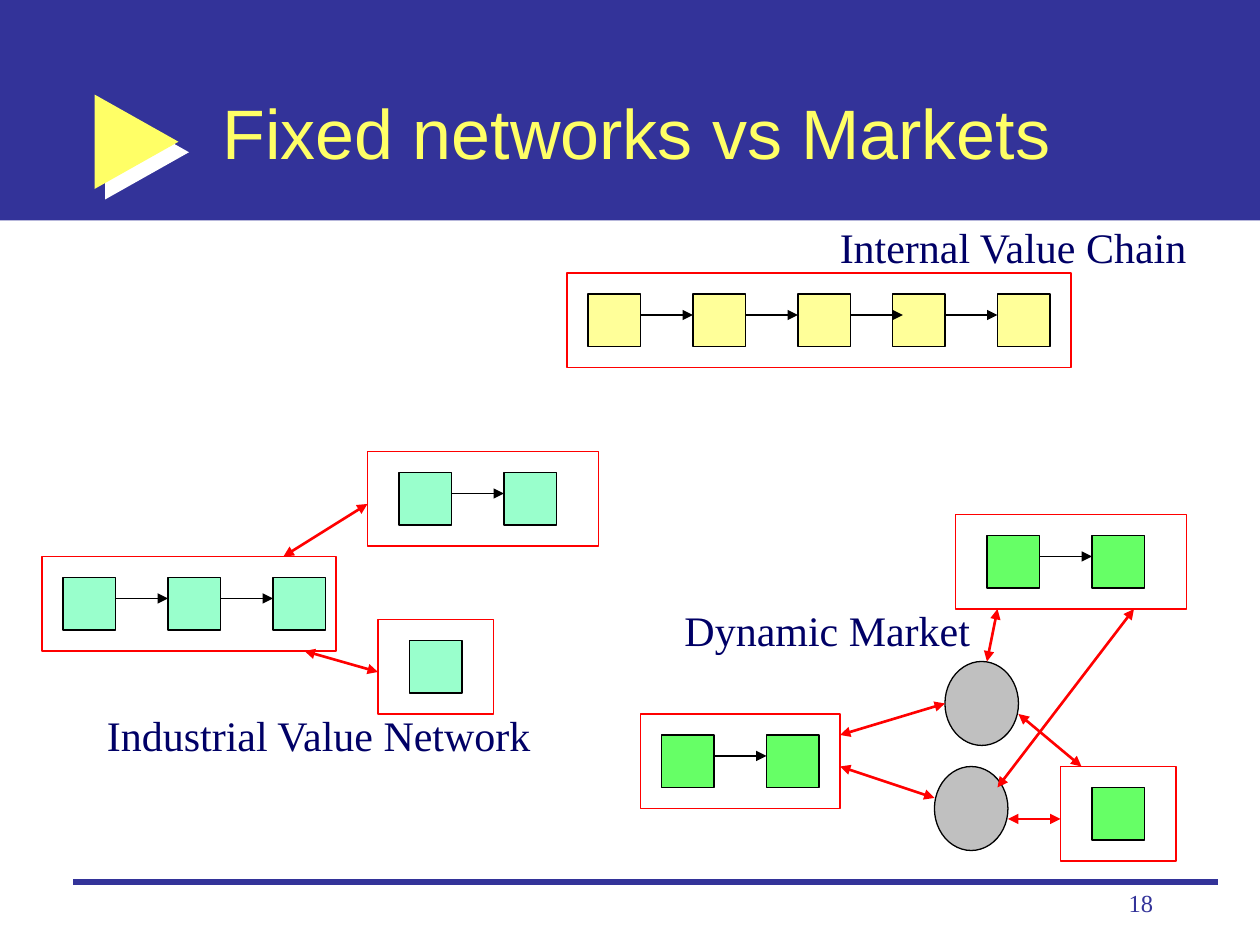
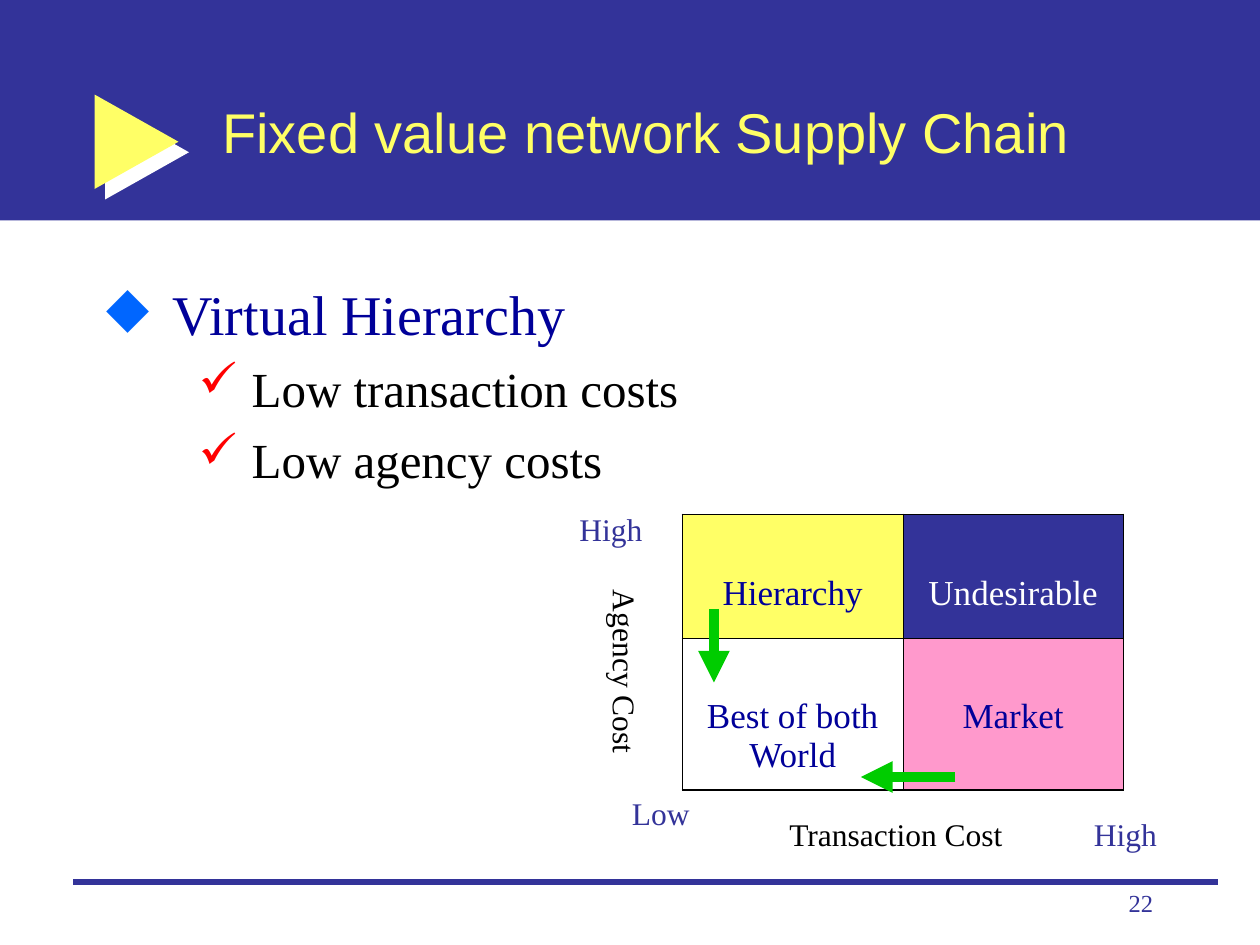
from itertools import product

from lxml import etree
from pptx import Presentation
from pptx import util as u
from pptx.dml.color import RGBColor
from pptx.enum import shapes, text
from pptx.oxml.ns import qn

SERIF, SANS = "Times New Roman", "Arial"
BLUE, YELLOW, RED, BLACK, WHITE = "333399", "FFFF66", "FF0000", "000000", "FFFFFF"
NAVY, INK, GREEN, GREY = "000066", "000099", "00CC00", "C0C0C0"

# All places are counted in steps of one 120th of the slide width.
STEP = 25.4 / 120
SQUARE, ARROW_LENGTH, FRAME_HEIGHT = 5, 5, 9

# Each chain: frame left, top, width, then the left edges of its squares.
CHAINS = [
    ("FFFF99", [(54, 26, 48, (56, 66, 76, 85, 95))]),
    ("99FFCC", [(4, 53, 28, (6, 16, 26)), (35, 43, 22, (38, 48)), (36, 59, 11, (39,))]),
    ("66FF66", [(61, 68, 19, (63, 73)), (91, 49, 22, (94, 104)), (101, 73, 11, (104,))]),
]
BROKERS = [(90, 63, 7, 8), (89, 73, 7, 8)]
LINKS = [
    (27, 53, 35, 48), (29, 62, 36, 64),
    (80, 70, 90, 67), (80, 73, 89, 76), (94, 63, 95, 58),
    (97, 68, 103, 73), (96, 78, 101, 78), (95, 75, 108, 58),
]
CHAIN_LABELS = [
    ("Internal Value Chain", (78.8, 20.5, 35.9, 6)),
    ("Industrial Value Network", (9, 67, 43.2, 6)),
    ("Dynamic Market", (64, 57, 29.6, 6)),
]

BULLETS = [
    ("Virtual Hierarchy", dict(size=32, color=INK, bullet="◆", bullet_color="0066FF",
                               indent=1.32, hanging=1.32)),
] + [
    (line, dict(size=28, color=BLACK, bullet="✓", bullet_color=RED,
                indent=2.92, hanging=1.07, before=7))
    for line in ("Low transaction costs", "Low agency costs")
]
QUADRANTS = [
    [("Hierarchy", INK, YELLOW), ("Undesirable", WHITE, BLUE)],
    [("Best of both World", INK, WHITE), ("Market", INK, "FF99CC")],
]
QUADRANT_WIDTH, QUADRANT_HEIGHTS = 21, (11.75, 14.5)
AXIS_LABELS = [
    ("Transaction Cost", (74, 77, 22.8, 4.8), BLACK, None),
    ("Agency Cost", (56, 55, 6, 16.8), BLACK, "eaVert"),
    ("High", (54, 48, 8.4, 4.8), BLUE, None),
    ("High", (103, 77, 8.4, 4.8), BLUE, None),
    ("Low", (59, 75, 7.9, 4.8), BLUE, None),
]
MOVES = [(91, 74, 82, 74), (68, 58, 68, 65)]


def steps(*counts):
    """Turn grid steps into lengths."""
    return [u.Cm(count * STEP) for count in counts]


def rgb(value):
    """Turn a hex string into a colour."""
    return RGBColor.from_string(value)


def add_element(parent, tag, **attributes):
    """Append a drawing element with its attributes."""
    element = etree.SubElement(parent, qn(tag))
    for name, value in attributes.items():
        element.set(name, str(value))
    return element


def write(paragraph, words, size=18, color=BLACK, font=SERIF, align=None, before=None,
          bullet=None, bullet_color=None, indent=0, hanging=0):
    """Write formatted words into a paragraph."""
    if bullet:
        properties = paragraph._p.get_or_add_pPr()
        properties.set("marL", str(u.Cm(indent)))
        properties.set("indent", str(-u.Cm(hanging)))
        add_element(add_element(properties, "a:buClr"), "a:srgbClr", val=bullet_color)
        add_element(properties, "a:buChar", char=bullet)
    if before:
        paragraph.space_before = u.Pt(before)
    paragraph.alignment = align
    run = paragraph.add_run()
    run.text = words
    run.font.name = font
    run.font.size = u.Pt(size)
    run.font.color.rgb = rgb(color)


def add_text(slide, place, lines, wrap=True, anchor=text.MSO_ANCHOR.TOP, vertical=None, **style):
    """Add a text box holding one string or several (words, style) lines."""
    frame = slide.shapes.add_textbox(*steps(*place)).text_frame
    frame.word_wrap = wrap
    frame.vertical_anchor = anchor
    if not wrap:
        frame.auto_size = text.MSO_AUTO_SIZE.SHAPE_TO_FIT_TEXT
    if vertical:
        frame._txBody.bodyPr.set("vert", vertical)
        frame.margin_left = frame.margin_right = u.Cm(0.13)
        frame.margin_top = frame.margin_bottom = u.Cm(0.25)
    if isinstance(lines, str):
        lines = [(lines, style)]
    for index, (words, line_style) in enumerate(lines):
        paragraph = frame.add_paragraph() if index else frame.paragraphs[0]
        write(paragraph, words, **line_style)


def add_shape(slide, kind, place, fill=None, line=None):
    """Add a preset shape with an optional fill and outline."""
    shape = slide.shapes.add_shape(kind, *steps(*place))
    shape.shadow.inherit = False
    if fill:
        shape.fill.solid()
        shape.fill.fore_color.rgb = rgb(fill)
    else:
        shape.fill.background()
    if line:
        shape.line.color.rgb = rgb(line)
        shape.line.width = u.Pt(0.75)
    else:
        shape.line.fill.background()
    return shape


def add_line(slide, ends, color, width, heads=()):
    """Add a straight line with arrowheads at the named ends."""
    connector = slide.shapes.add_connector(shapes.MSO_CONNECTOR.STRAIGHT, *steps(*ends))
    connector.line.color.rgb = rgb(color)
    connector.line.width = u.Pt(width)
    outline = connector.line._get_or_add_ln()
    for head in heads:
        add_element(outline, head, type="triangle")
    add_element(connector._element.spPr, "a:effectLst")


def add_slide(presentation, title, title_size, number):
    """Add a slide with the band, marker, rule, title and number."""
    slide = presentation.slides.add_slide(presentation.slide_layouts[6])
    add_shape(slide, shapes.MSO_SHAPE.RECTANGLE, (0, 0, 120, 21), BLUE)
    marker = add_shape(slide, shapes.MSO_SHAPE.RIGHT_ARROW, (9, 9, 8, 9), YELLOW)
    marker.adjustments[0], marker.adjustments[1] = 0.38, 1
    effects = marker._element.spPr.find(qn("a:effectLst"))
    shadow = add_element(effects, "a:outerShdw", dist=u.Pt(8.5), dir=45 * 60000,
                         algn="ctr", rotWithShape=0)
    add_element(shadow, "a:srgbClr", val=WHITE)
    add_line(slide, (7, 84, 116, 84), BLUE, 3)
    add_text(slide, (20, 5, 91, 15), title, anchor=text.MSO_ANCHOR.MIDDLE,
             size=title_size, color=YELLOW, font=SANS)
    add_text(slide, (86, 84, 25, 6), str(number), size=14, color=BLUE,
             align=text.PP_ALIGN.RIGHT)
    return slide


def add_chain(slide, fill, left, top, width, squares):
    """Add a framed row of squares joined by arrows."""
    for square in squares:
        add_shape(slide, shapes.MSO_SHAPE.RECTANGLE, (square, top + 2, SQUARE, SQUARE),
                  fill, BLACK)
    for square in squares[:-1]:
        start = square + SQUARE
        add_line(slide, (start, top + 4, start + ARROW_LENGTH, top + 4), BLACK, 0.75,
                 ["a:tailEnd"])
    add_shape(slide, shapes.MSO_SHAPE.RECTANGLE, (left, top, width, FRAME_HEIGHT), line=RED)


def add_quadrants(slide):
    """Add the two by two cost table."""
    place = steps(65, 49, 2 * QUADRANT_WIDTH, sum(QUADRANT_HEIGHTS))
    table = slide.shapes.add_table(2, 2, *place).table
    table.first_row = table.horz_banding = False
    for index, height in enumerate(QUADRANT_HEIGHTS):
        table.columns[index].width, table.rows[index].height = steps(QUADRANT_WIDTH, height)
    for row, column in product(range(2), repeat=2):
        words, color, fill = QUADRANTS[row][column]
        cell = table.cell(row, column)
        cell.margin_top = u.Cm(1.2)
        write(cell.text_frame.paragraphs[0], words, size=20, color=color,
              align=text.PP_ALIGN.CENTER)
        properties = cell._tc.get_or_add_tcPr()
        outer = {"L": column == 0, "R": column == 1, "T": row == 0, "B": row == 1}
        for side, is_outer in outer.items():
            border = add_element(properties, f"a:ln{side}", w=u.Pt(1.08 if is_outer else 0.45))
            add_element(add_element(border, "a:solidFill"), "a:srgbClr", val=BLACK)
        cell.fill.solid()
        cell.fill.fore_color.rgb = rgb(fill)


def build_networks(presentation):
    """Build the slide comparing chains, networks and markets."""
    slide = add_slide(presentation, "Fixed networks vs Markets", 40, 18)
    for fill, chains in CHAINS:
        for chain in chains:
            add_chain(slide, fill, *chain)
    for broker in BROKERS:
        add_shape(slide, shapes.MSO_SHAPE.OVAL, broker, GREY, BLACK)
    for link in LINKS:
        add_line(slide, link, RED, 1.5, ["a:headEnd", "a:tailEnd"])
    for words, place in CHAIN_LABELS:
        add_text(slide, place, words, wrap=False, size=24, color=NAVY)


def build_supply_chain(presentation):
    """Build the slide on the costs of a fixed value network."""
    slide = add_slide(presentation, "Fixed value network Supply Chain", 32, 22)
    add_quadrants(slide)
    for words, place, color, vertical in AXIS_LABELS:
        add_text(slide, place, words, wrap=False, vertical=vertical, color=color)
    for move in MOVES:
        add_line(slide, move, GREEN, 6, ["a:tailEnd"])
    add_text(slide, (9, 26, 102, 54), BULLETS)


def main():
    """Build and save the presentation."""
    presentation = Presentation()
    presentation.slide_width, presentation.slide_height = u.Cm(25.4), u.Cm(19.05)
    build_networks(presentation)
    build_supply_chain(presentation)
    presentation.save("out.pptx")


if __name__ == "__main__":
    main()
